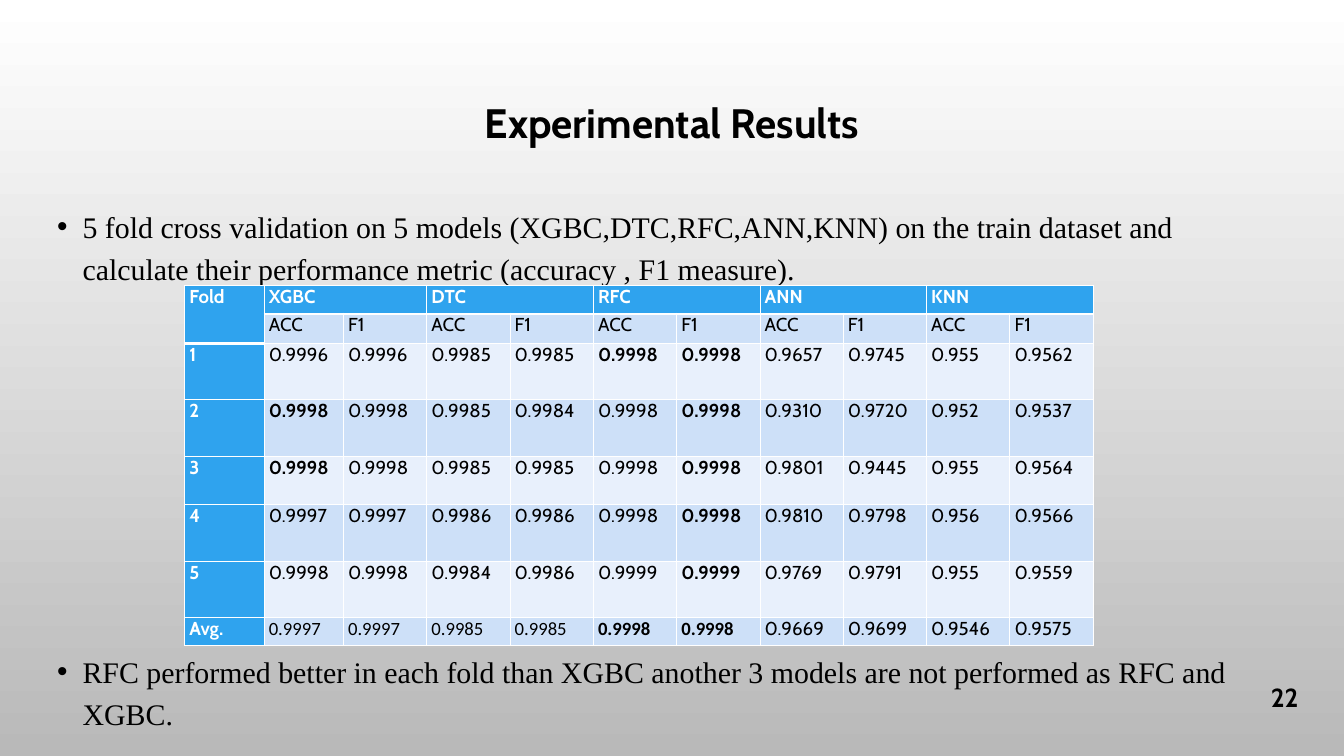
from lxml import etree
from pptx import Presentation
from pptx import util as u
from pptx.dml.color import RGBColor
from pptx.enum import text
from pptx.oxml.ns import qn

WIDTH, HEIGHT = 20, 11.25
BLACK, WHITE, BLUE = "000000", "FFFFFF", "2FA3EE"
BANDS = ["CDE0F8", "E8F0FC"]
MODELS = ["XGBC", "DTC", "RFC", "ANN", "KNN"]
# A trailing * marks a bold score.
SCORES = """
1 0.9996 0.9996 0.9985 0.9985 0.9998* 0.9998* 0.9657 0.9745 0.955 0.9562
2 0.9998* 0.9998 0.9985 0.9984 0.9998 0.9998* 0.9310 0.9720 0.952 0.9537
3 0.9998* 0.9998 0.9985 0.9985 0.9998 0.9998* 0.9801 0.9445 0.955 0.9564
4 0.9997 0.9997 0.9986 0.9986 0.9998 0.9998* 0.9810 0.9798 0.956 0.9566
5 0.9998 0.9998 0.9984 0.9986 0.9999 0.9999* 0.9769 0.9791 0.955 0.9559
Avg. 0.9997 0.9997 0.9985 0.9985 0.9998* 0.9998* 0.9669 0.9699 0.9546 0.9575
"""
COL_WIDTHS = [1.18] * 2 + [1.24] * 9
ROW_HEIGHTS = [0.42, 0.44, 0.84, 0.84, 0.72, 0.84, 0.84, 0.42]
BULLETS = [
    "5 fold cross validation on 5 models (XGBC,DTC,RFC,ANN,KNN) on the train dataset "
    "and calculate their performance metric (accuracy , F1 measure).",
    "RFC performed better in each fold than XGBC another 3 models are not performed "
    "as RFC and XGBC.",
]
TABLE_GAP = 387


def rgb(value):
    return RGBColor.from_string(value)


def style(font, color=BLACK, **formats):
    for name, value in formats.items():
        setattr(font, name, value)
    font.color.rgb = rgb(color)


def place(sp, left, top, width, height):
    for name, value in dict(left=left, top=top, width=width, height=height).items():
        setattr(sp, name, u.Inches(value))


def paint_background(s):
    fill = s.background.fill
    fill.gradient()
    fill.gradient_angle = 270
    for stop, color in zip(fill.gradient_stops, [WHITE, "B9B9B9"]):
        stop.color.rgb = rgb(color)


def add_title(s, title):
    sp = s.shapes.title
    place(sp, 1.5, 1.43, 17, 1.53)
    tf = sp.text_frame
    tf.vertical_anchor = text.MSO_ANCHOR.TOP
    tf.margin_top = u.Inches(0.1)
    p = tf.paragraphs[0]
    p.alignment = text.PP_ALIGN.CENTER
    p.line_spacing = 0.9
    r = p.add_run()
    r.text = title
    style(r.font, size=u.Pt(44), name="Cabin", bold=True)


def add_text_box(s, left, top, width, height):
    sp = s.shapes.add_textbox(0, 0, 0, 0)
    place(sp, left, top, width, height)
    sp.text_frame.word_wrap = True
    return sp.text_frame


def add_bullets(s):
    """One box whose second paragraph is spaced to leave room for the table."""
    tf = add_text_box(s, 0.75, 2.96, 17.75, 7.92)
    for i, line in enumerate(BULLETS):
        p = tf.add_paragraph() if i else tf.paragraphs[0]
        p.line_spacing = 1.17
        if i:
            p.space_before = u.Pt(TABLE_GAP)
        pPr = p._p.get_or_add_pPr()
        indent = u.Inches(0.38)
        pPr.set("marL", str(indent))
        pPr.set("indent", str(-indent))
        etree.SubElement(pPr, qn("a:buFont")).set("typeface", "Arial")
        etree.SubElement(pPr, qn("a:buChar")).set("char", "•")
        r = p.add_run()
        r.text = line
        style(r.font, size=u.Pt(32), name="Times New Roman")


def add_borders(cell, bottom):
    tcPr = cell._tc.get_or_add_tcPr()
    for i, (side, width) in enumerate(dict(L=1, R=1, T=1, B=bottom).items()):
        ln = etree.Element(qn(f"a:ln{side}"), w=str(u.Pt(width)))
        fill = etree.SubElement(ln, qn("a:solidFill"))
        etree.SubElement(fill, qn("a:srgbClr")).set("val", WHITE)
        tcPr.insert(i, ln)


def fill_cell(cell, value, row, col, last_row):
    header = row == 0 or col == 0
    cell.fill.solid()
    cell.fill.fore_color.rgb = rgb(BLUE if header else BANDS[(row + 1) % 2])
    cell.margin_left = cell.margin_right = u.Inches(0.07)
    cell.margin_top = cell.margin_bottom = 0
    add_borders(cell, 3 if row == 0 or (row == 1 and col == 0) else 1)
    if value:
        r = cell.text_frame.paragraphs[0].add_run()
        r.text = value.rstrip("*")
        calibri = row == last_row and 1 <= col <= 6
        style(r.font, WHITE if header else BLACK, size=u.Pt(20),
              name="Calibri" if calibri else "Cabin",
              bold=header or value.endswith("*"))


def add_score_table(s):
    rows = [["Fold"] + [v for model in MODELS for v in (model, "")],
            [""] + ["ACC", "F1"] * len(MODELS)]
    rows += [line.split() for line in SCORES.strip().splitlines()]
    frame = s.shapes.add_table(len(rows), len(rows[0]), u.Inches(2.75), u.Inches(4.25),
                               u.Inches(sum(COL_WIDTHS)), u.Inches(sum(ROW_HEIGHTS)))
    table = frame.table
    for col, width in zip(table.columns, COL_WIDTHS):
        col.width = u.Inches(width)
    for row, height in zip(table.rows, ROW_HEIGHTS):
        row.height = u.Inches(height)
    for i, values in enumerate(rows):
        for j, value in enumerate(values):
            fill_cell(table.cell(i, j), value, i, j, len(rows) - 1)
    table.cell(0, 0).merge(table.cell(1, 0))
    for j in range(1, len(COL_WIDTHS), 2):
        table.cell(0, j).merge(table.cell(0, j + 1))


def add_page_number(s, number):
    tf = add_text_box(s, 18.17, 10.08, 1.25, 0.6)
    tf.vertical_anchor = text.MSO_ANCHOR.MIDDLE
    p = tf.paragraphs[0]
    p.alignment = text.PP_ALIGN.RIGHT
    r = p.add_run()
    r.text = number
    style(r.font, size=u.Pt(28), name="Cabin", bold=True)


def main():
    prs = Presentation()
    prs.slide_width, prs.slide_height = u.Inches(WIDTH), u.Inches(HEIGHT)
    s = prs.slides.add_slide(prs.slide_layouts.get_by_name("Title Only"))
    paint_background(s)
    add_title(s, "Experimental Results")
    add_bullets(s)
    add_score_table(s)
    add_page_number(s, "22")
    prs.save("out.pptx")


if __name__ == "__main__":
    main()
